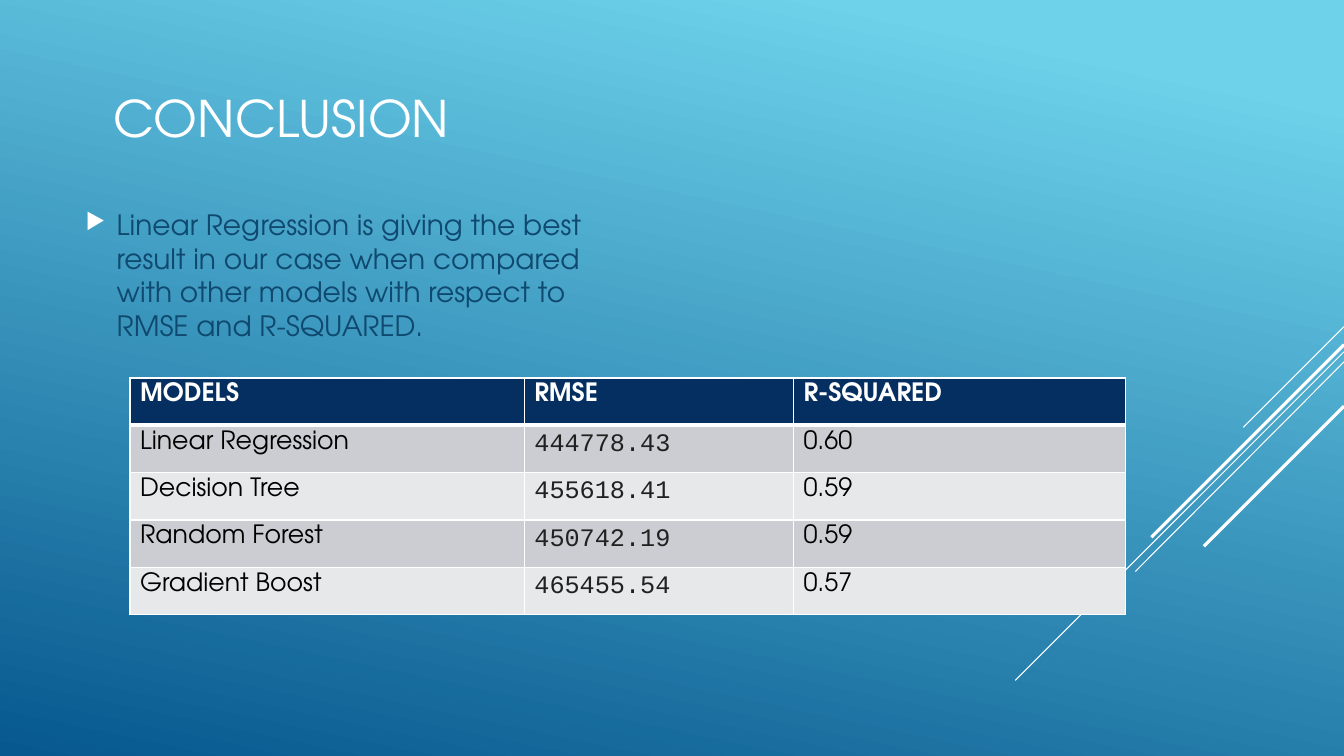
import pptx
import pptx.util
import pptx.dml.color
import pptx.enum.shapes
import pptx.enum.text
import pptx.oxml
from pptx.oxml.ns import qn, nsdecls

SCALE = 9144  # EMU in one px, 100 px to the inch
FONT = "TeX Gyre Adventor"
MONO = "Courier New"
WHITE = "FFFFFF"
NAVY = "052F61"
BANDS = ["CCCDD2", "E7E8EA"]

# x1, y1, x2, y2, width in points
RAYS = [
    (1333, 324, 1233, 424, 0.75),
    (1333, 349, 1007, 675, 0.75),
    (1333, 359, 1126, 567, 0.75),
    (1333, 342, 1142, 533, 2.25),
    (1333, 403, 1194, 542, 2.25),
]
POINT = ("Linear Regression is giving the best result in our case when "
         "compared with other models with respect to RMSE and R-SQUARED.")
SCORES = [
    ("MODELS", "RMSE", "R-SQUARED"),
    ("Linear Regression", "444778.43", "0.60"),
    ("Decision Tree", "455618.41", "0.59"),
    ("Random Forest", "450742.19", "0.59"),
    ("Gradient Boost", "465455.54", "0.57"),
]
WIDTHS = [391, 267, 329]
ROW = 47


def px(n):
    return pptx.util.Emu(n * SCALE)


def rgb(code):
    return pptx.dml.color.RGBColor.from_string(code)


def write(frame, text, size=18, color="000000", font=FONT, bold=False):
    """Fill a text frame with one left-aligned paragraph and return it."""
    frame.word_wrap = True
    para = frame.paragraphs[0]
    para.alignment = pptx.enum.text.PP_ALIGN.LEFT
    run = para.add_run()
    run.text = text
    run.font.size = pptx.util.Pt(size)
    run.font.name = font
    run.font.bold = bold
    run.font.color.rgb = rgb(color)
    return para


def add_back(slide):
    fill = slide.background.fill
    fill.gradient()
    fill.gradient_angle = 258
    stops = [("6ED2EB", 0.1), ("06588E", 1)]
    for stop, (color, pos) in zip(fill.gradient_stops, stops):
        stop.color.rgb = rgb(color)
        stop.position = pos


def add_ray(slide, x1, y1, x2, y2, width):
    ray = slide.shapes.add_connector(
        pptx.enum.shapes.MSO_CONNECTOR.STRAIGHT, px(x1), px(y1), px(x2), px(y2))
    ray.line.color.rgb = rgb(WHITE)
    ray.line.width = pptx.util.Pt(width)
    props = ray._element.spPr
    props.append(props.makeelement(qn("a:effectLst"), {}))


def add_title(slide, text):
    title = slide.shapes.title
    title.left, title.top = px(103), px(34)
    title.width, title.height = px(933), px(165)
    title.text_frame.vertical_anchor = pptx.enum.text.MSO_ANCHOR.MIDDLE
    write(title.text_frame, text, size=36, color=WHITE)


def add_bullet(slide, text):
    box = slide.shapes.add_textbox(px(75), px(75), px(540), px(395))
    box.text_frame.vertical_anchor = pptx.enum.text.MSO_ANCHOR.MIDDLE
    para = write(box.text_frame, text, size=20, color="0F496F")
    para.space_before = pptx.util.Pt(4)
    para.space_after = pptx.util.Pt(6)
    props = para._p.get_or_add_pPr()
    props.set("marL", str(px(31)))
    props.set("indent", str(px(-31)))
    for mark in (f'<a:buClr {nsdecls("a")}><a:srgbClr val="{WHITE}"/></a:buClr>',
                 f'<a:buSzPct {nsdecls("a")} val="80000"/>',
                 f'<a:buChar {nsdecls("a")} char="▶"/>'):
        props.append(pptx.oxml.parse_xml(mark))


def edge(cell, thick):
    """Draw white cell borders, with the named side thick."""
    props = cell._tc.get_or_add_tcPr()
    for spot, side in enumerate(("lnL", "lnR", "lnT", "lnB")):
        width = pptx.util.Pt(3 if side == thick else 1)
        props.insert(spot, pptx.oxml.parse_xml(
            f'<a:{side} {nsdecls("a")} w="{width}"><a:solidFill>'
            f'<a:srgbClr val="{WHITE}"/></a:solidFill></a:{side}>'))


def add_scores(slide):
    table = slide.shapes.add_table(
        len(SCORES), len(WIDTHS), px(129), px(375),
        px(sum(WIDTHS)), px(ROW * len(SCORES))).table
    for col, width in zip(table.columns, WIDTHS):
        col.width = px(width)
    for r, row in enumerate(SCORES):
        table.rows[r].height = px(ROW)
        head = r == 0
        for c, text in enumerate(row):
            cell = table.cell(r, c)
            cell.margin_left = cell.margin_right = px(10)
            cell.margin_top = cell.margin_bottom = px(5)
            cell.fill.solid()
            cell.fill.fore_color.rgb = rgb(NAVY if head else BANDS[(r - 1) % 2])
            edge(cell, {0: "lnB", 1: "lnT"}.get(r))
            if head:
                write(cell.text_frame, text, color=WHITE, bold=True)
            elif c == 1:
                write(cell.text_frame, text, color="212121", font=MONO)
            else:
                write(cell.text_frame, text)


def main():
    deck = pptx.Presentation()
    deck.slide_width, deck.slide_height = px(1333), px(750)
    slide = deck.slides.add_slide(deck.slide_layouts[5])
    add_back(slide)
    for ray in RAYS:
        add_ray(slide, *ray)
    add_title(slide, "CONCLUSION")
    add_bullet(slide, POINT)
    add_scores(slide)
    deck.save("out.pptx")


if __name__ == "__main__":
    main()
